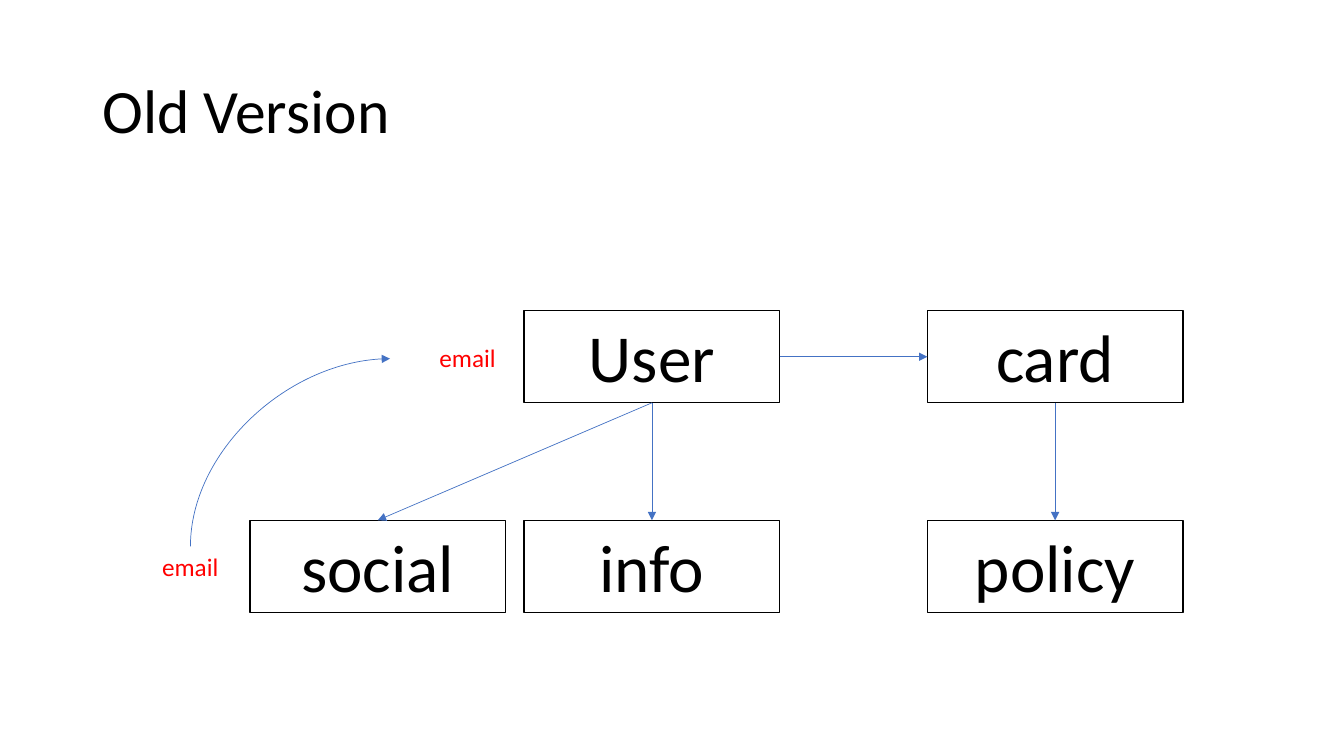
from pptx import Presentation
from pptx.dml.color import RGBColor
from pptx.enum.shapes import MSO_CONNECTOR, MSO_SHAPE
from pptx.enum.text import MSO_ANCHOR, PP_ALIGN
from pptx.oxml.ns import qn
from pptx.util import Cm, Pt
from lxml import etree

RECT = MSO_SHAPE.RECTANGLE
STRAIGHT, CURVE = MSO_CONNECTOR.STRAIGHT, MSO_CONNECTOR.CURVE
LEFT, CENTER = PP_ALIGN.LEFT, PP_ALIGN.CENTER
TOP, MIDDLE = MSO_ANCHOR.TOP, MSO_ANCHOR.MIDDLE

BLACK = RGBColor(0x00, 0x00, 0x00)
WHITE = RGBColor(0xFF, 0xFF, 0xFF)
RED = RGBColor(0xFF, 0x00, 0x00)
BLUE = RGBColor(0x44, 0x72, 0xC4)

FONT = "Calibri"
BOX_W, BOX_H = 6.44, 2.32
COLS = [6.3, 13.21, 23.37]
ROWS = [7.83, 13.11]
BOXES = [("User", 1, 0), ("card", 2, 0),
         ("social", 0, 1), ("info", 1, 1), ("policy", 2, 1)]
# Start box, its side, end box, its side (0 top, 1 left, 2 bottom, 3 right)
LINKS = [("User", 2, "info", 0), ("User", 3, "card", 1),
         ("card", 2, "policy", 0), ("User", 2, "social", 0)]
EMAILS = [(2.84, 13.77), (9.83, 8.5)]


def write(shape, text, size, color=BLACK, align=CENTER, anchor=TOP, space=1.0):
    frame = shape.text_frame
    frame.word_wrap = True
    frame.vertical_anchor = anchor
    para = frame.paragraphs[0]
    para.alignment = align
    para.line_spacing = space
    run = para.add_run()
    run.text = text
    run.font.name = FONT
    run.font.size = Pt(size)
    run.font.color.rgb = color


def add_label(slide, text, x, y, w, h, **style):
    label = slide.shapes.add_textbox(Cm(x), Cm(y), Cm(w), Cm(h))
    write(label, text, **style)


def add_box(slide, text, col, row):
    box = slide.shapes.add_shape(RECT, Cm(COLS[col]), Cm(ROWS[row]),
                                 Cm(BOX_W), Cm(BOX_H))
    box.shadow.inherit = False
    box.fill.solid()
    box.fill.fore_color.rgb = WHITE
    box.line.color.rgb = BLACK
    box.line.width = Pt(1)
    write(box, text, 48)
    return box


def add_arrow(slide, kind, x1=0, y1=0, x2=0, y2=0):
    arrow = slide.shapes.add_connector(kind, Cm(x1), Cm(y1), Cm(x2), Cm(y2))
    arrow.line.color.rgb = BLUE
    arrow.line.width = Pt(0.5)
    props = arrow._element.spPr
    tail = etree.SubElement(props.find(qn("a:ln")), qn("a:tailEnd"))
    tail.set("type", "triangle")
    etree.SubElement(props, qn("a:effectLst"))
    return arrow


def add_arc(slide):
    """Draw a quarter bend that leaves upward and arrives rightward."""
    arc = add_arrow(slide, CURVE, 9.68, 13.92, 4.95, 8.89)
    props = arc._element.spPr
    props.find(qn("a:prstGeom")).set("prst", "curvedConnector2")
    props.find(qn("a:xfrm")).set("rot", str(90 * 60000))


def main():
    deck = Presentation()
    deck.slide_width, deck.slide_height = Cm(33.87), Cm(19.05)
    slide = deck.slides.add_slide(deck.slide_layouts[6])

    add_label(slide, "Old Version", 2.33, 1.01, 29.21, 3.68,
              size=44, align=LEFT, anchor=MIDDLE, space=0.9)
    boxes = {name: add_box(slide, name, col, row) for name, col, row in BOXES}
    for start, out, end, into in LINKS:
        link = add_arrow(slide, STRAIGHT)
        link.begin_connect(boxes[start], out)
        link.end_connect(boxes[end], into)
    for x, y in EMAILS:
        add_label(slide, "email", x, y, 3.91, 1.03, size=18, color=RED)
    add_arc(slide)

    deck.save("out.pptx")


if __name__ == "__main__":
    main()
